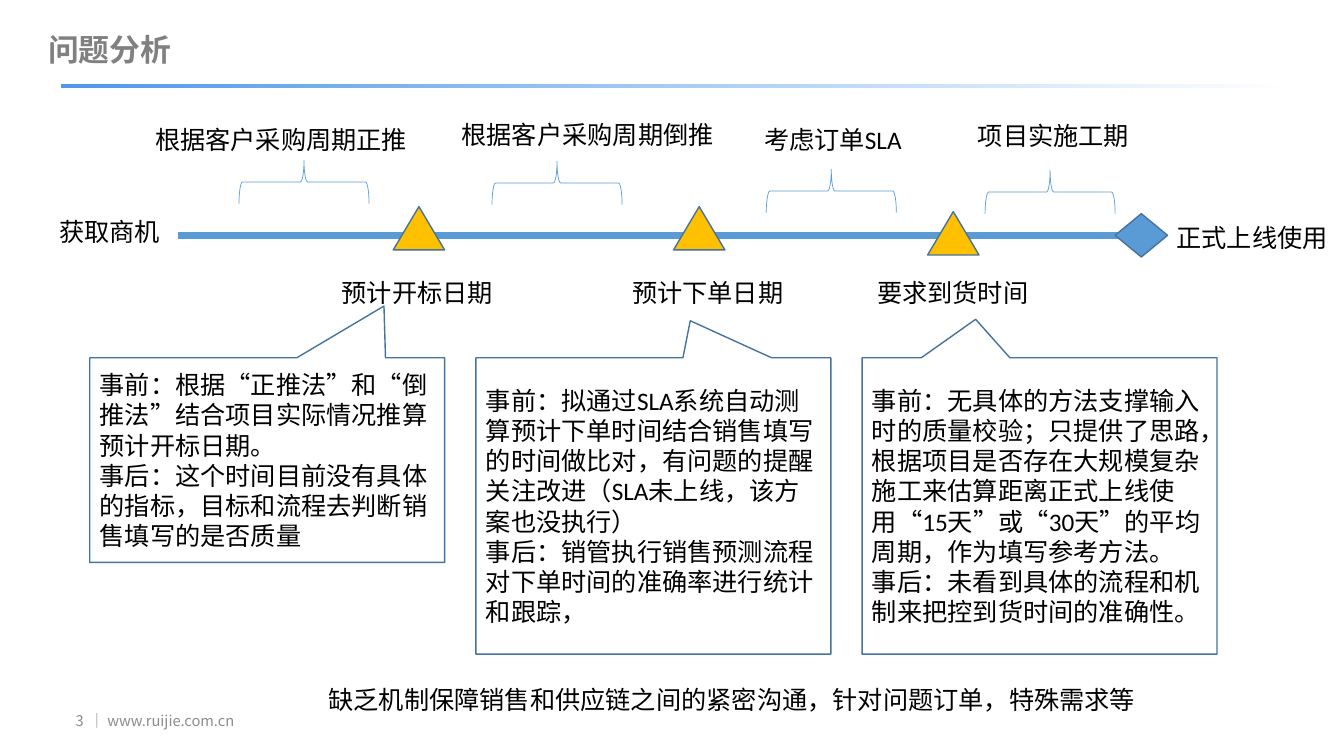
import pptx
import pptx.util
from lxml import etree
from pptx.dml.color import RGBColor
from pptx.enum.shapes import MSO_CONNECTOR, MSO_SHAPE
from pptx.enum.text import MSO_ANCHOR, MSO_AUTO_SIZE, PP_ALIGN
from pptx.oxml.ns import qn
from pptx.util import Inches, Pt

BLUE = RGBColor(0x5B, 0x9B, 0xD5)
EDGE = RGBColor(0x43, 0x73, 0x9E)
GOLD = RGBColor(0xFF, 0xC0, 0x00)
RULE_BLUE = RGBColor(0x4F, 0x98, 0xEB)
BLACK = RGBColor(0, 0, 0)
TITLE_GRAY = RGBColor(0x80, 0x80, 0x80)
FOOTER_GRAY = RGBColor(0x8C, 0x8C, 0x8C)
LATIN, CHINESE = "Calibri", "Noto Sans CJK SC"

TITLE = "问题分析"
PAGE_NUMBER = "3"
FOOTER = "｜ www.ruijie.com.cn"

# text, left, top, width, wraps
LABELS = [
    ("获取商机", 0.49, 2.1, 1.21, False),
    ("正式上线使用", 11.57, 2.16, 1.72, False),
    ("预计开标日期", 3.29, 2.7, 1.72, False),
    ("预计下单日期", 6.17, 2.7, 1.72, False),
    ("要求到货时间", 8.6, 2.7, 1.72, False),
    ("根据客户采购周期正推", 1.44, 1.18, 2.73, False),
    ("根据客户采购周期倒推", 4.48, 1.13, 2.73, False),
    ("考虑订单SLA", 7.48, 1.18, 1.58, True),
    ("项目实施工期", 9.6, 1.14, 1.72, False),
    ("缺乏机制保障销售和供应链之间的紧密沟通，针对问题订单，特殊需求等",
     3.16, 6.74, 8.28, False),
]
MILESTONES = [(3.9, 2.05), (6.68, 2.05), (9.2, 2.1)]  # left, top
BRACES = [(2.8, 1.16), (5.31, 1.17), (8.03, 1.25), (10.2, 1.26)]  # left, top before turning
# height, pointer tip (x, y), paragraphs
CALLOUTS = [
    (2.03, (0.329, -0.753), [
        "事前：根据“正推法”和“倒推法”结合项目实际情况推算预计开标日期。",
        "事后：这个时间目前没有具体的指标，目标和流程去判断销售填写的是否质量"]),
    (2.94, (0.104, -0.625), [
        "事前：拟通过SLA系统自动测算预计下单时间结合销售填写的时间做比对，"
        "有问题的提醒关注改进（SLA未上线，该方案也没执行）",
        "事后：销管执行销售预测流程对下单时间的准确率进行统计和跟踪，"]),
    (2.94, (-0.18, -0.63), [
        "事前：无具体的方法支撑输入时的质量校验；只提供了思路，根据项目是否存在大规模复杂"
        "施工来估算距离正式上线使用“15天”或“30天”的平均周期，作为填写参考方法。",
        "事后：未看到具体的流程和机制来把控到货时间的准确性。"]),
]
CALLOUT_LEFT, CALLOUT_TOP, CALLOUT_WIDTH, CALLOUT_STEP = 0.89, 3.55, 3.52, 3.83
TIMELINE_LEFT, TIMELINE_RIGHT, TIMELINE_Y = 1.77, 11.58, 2.34


def write(shape, paragraphs, size=18, font=LATIN, color=BLACK, bold=False,
          align=PP_ALIGN.LEFT, anchor=MSO_ANCHOR.TOP, wrap=True, spacing=None):
    frame = shape.text_frame
    frame.word_wrap = wrap
    frame.vertical_anchor = anchor
    for index, text in enumerate(paragraphs):
        para = frame.add_paragraph() if index else frame.paragraphs[0]
        para.alignment = align
        if spacing:
            para.line_spacing = spacing
        span = para.add_run()
        span.text = text
        span.font.size, span.font.name, span.font.bold = Pt(size), font, bold
        span.font.color.rgb = color
        east_asian = etree.Element(qn("a:ea"), typeface=CHINESE)
        span.font._element.find(qn("a:latin")).addnext(east_asian)


def add_text(page, text, left, top, width, height=0.4, grow=False, **style):
    box = page.shapes.add_textbox(Inches(left), Inches(top), Inches(width), Inches(height))
    write(box, [text], **style)
    box.text_frame.auto_size = MSO_AUTO_SIZE.SHAPE_TO_FIT_TEXT if grow else MSO_AUTO_SIZE.NONE


def add_figure(page, kind, left, top, width, height, fill=None, line=EDGE, weight=1):
    figure = page.shapes.add_shape(
        kind, Inches(left), Inches(top), Inches(width), Inches(height))
    figure.shadow.inherit = False
    if fill is None:
        figure.fill.background()
    else:
        figure.fill.solid()
        figure.fill.fore_color.rgb = fill
    if line is None:
        figure.line.fill.background()
    else:
        figure.line.color.rgb = line
        figure.line.width = Pt(weight)
    return figure


def add_title_rule(page):
    """Thin bar under the title, fading out to the right."""
    rule = add_figure(page, MSO_SHAPE.RECTANGLE, 0.61, 0.84, 12.12, 0.03, line=None)
    rule.fill.gradient()
    rule.fill.gradient_angle = 0
    for stop, position in zip(rule.fill.gradient_stops, (0, 1)):
        stop.color.rgb = RULE_BLUE
        stop.position = position
    last_color = rule._element.spPr.findall(".//" + qn("a:srgbClr"))[-1]
    etree.SubElement(last_color, qn("a:alpha"), val="0")


def add_timeline(page):
    timeline = page.shapes.add_connector(
        MSO_CONNECTOR.STRAIGHT, Inches(TIMELINE_LEFT), Inches(TIMELINE_Y),
        Inches(TIMELINE_RIGHT), Inches(TIMELINE_Y))
    timeline.line.color.rgb = BLUE
    timeline.line.width = Pt(5)
    etree.SubElement(timeline.line._get_or_add_ln(), qn("a:tailEnd"), type="triangle")
    etree.SubElement(timeline._element.spPr, qn("a:effectLst"))


def main():
    deck = pptx.Presentation()
    deck.slide_width, deck.slide_height = Inches(13.33), Inches(7.5)
    page = deck.slides.add_slide(deck.slide_layouts[6])

    add_title_rule(page)
    footer_style = dict(size=10.5, font=CHINESE, color=FOOTER_GRAY, anchor=MSO_ANCHOR.MIDDLE)
    add_text(page, PAGE_NUMBER, 0.36, 6.95, 0.57, align=PP_ALIGN.RIGHT, **footer_style)
    add_text(page, FOOTER, 0.79, 6.95, 2.57, **footer_style)
    add_text(page, TITLE, 0.38, 0.3, 8.32, 0.54, size=22, font=CHINESE,
             color=TITLE_GRAY, bold=True, spacing=0.9)

    add_timeline(page)
    for left, top in MILESTONES:
        add_figure(page, MSO_SHAPE.ISOSCELES_TRIANGLE, left, top, 0.51, 0.43, fill=GOLD)
    add_figure(page, MSO_SHAPE.DIAMOND, TIMELINE_RIGHT - 0.52, 2.12, 0.52, 0.43, fill=BLUE)

    for column, (height, tip, paragraphs) in enumerate(CALLOUTS):
        callout = add_figure(page, MSO_SHAPE.RECTANGULAR_CALLOUT,
                             CALLOUT_LEFT + column * CALLOUT_STEP, CALLOUT_TOP,
                             CALLOUT_WIDTH, height)
        callout.adjustments[0], callout.adjustments[1] = tip
        write(callout, paragraphs, anchor=MSO_ANCHOR.MIDDLE)

    for left, top in BRACES:
        brace = add_figure(page, MSO_SHAPE.RIGHT_BRACE, left, top, 0.43, 1.29,
                           line=BLUE, weight=0.5)
        brace.rotation = 270
    for text, left, top, width, wraps in LABELS:
        add_text(page, text, left, top, width, grow=True, wrap=wraps)

    deck.save("out.pptx")


if __name__ == "__main__":
    main()
